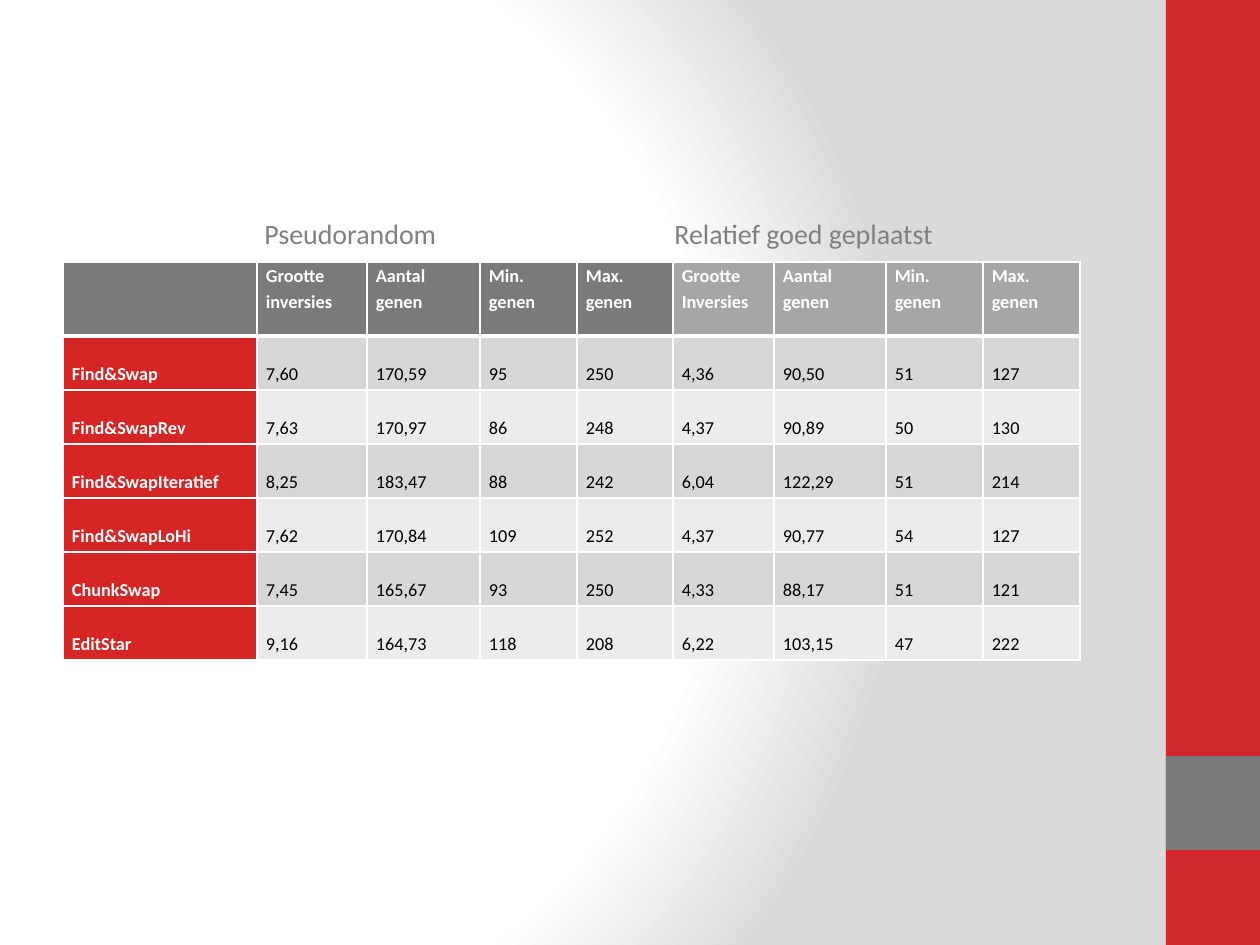
import dataclasses

import pptx
import pptx.dml.color
import pptx.enum.shapes
import pptx.oxml
import pptx.oxml.ns
import pptx.util

EMU_PER_PX = 914400 / 126


def px(length: int) -> pptx.util.Emu:
    return pptx.util.Emu(round(length * EMU_PER_PX))


@dataclasses.dataclass(frozen=True)
class Theme:
    font: str = "Calibri"
    red: str = "D1282E"
    gray: str = "7A7A7A"
    light_gray: str = "A6A6A6"
    label_red: str = "D52525"
    odd_row: str = "D7D7D7"
    even_row: str = "ECECEC"
    backdrop: str = "DADADA"
    white: str = "FFFFFF"
    black: str = "000000"
    caption: str = "808080"
    caption_size: float = 16
    header_size: float = 10.5
    body_size: float = 18


THEME = Theme()


@dataclasses.dataclass(frozen=True)
class Band:
    left: int
    top: int
    width: int
    height: int
    color: str


@dataclasses.dataclass(frozen=True)
class CellStyle:
    fill: str
    color: str
    size: float
    bold: bool
    subscript: bool
    top_line: int = 1
    bottom_line: int = 1


BANDS = [
    Band(1166, 0, 94, 945, THEME.red),
    Band(1166, 756, 94, 94, THEME.gray),
]
COLUMN_WIDTHS = [194, 110, 113, 97, 96, 101, 112, 97, 97]
HEADER_HEIGHT, ROW_HEIGHT = 74, 54
FIRST_PLACED_COLUMN = 5
ROWS = [
    ["", "Grootte\ninversies", "Aantal genen", "Min. genen", "Max. genen",
     "Grootte\nInversies", "Aantal genen", "Min. genen", "Max. genen"],
    ["Find&Swap", "7,60", "170,59", "95", "250", "4,36", "90,50", "51", "127"],
    ["Find&SwapRev", "7,63", "170,97", "86", "248", "4,37", "90,89", "50", "130"],
    ["Find&SwapIteratief", "8,25", "183,47", "88", "242", "6,04", "122,29", "51", "214"],
    ["Find&SwapLoHi", "7,62", "170,84", "109", "252", "4,37", "90,77", "54", "127"],
    ["ChunkSwap", "7,45", "165,67", "93", "250", "4,33", "88,17", "51", "121"],
    ["EditStar", "9,16", "164,73", "118", "208", "6,22", "103,15", "47", "222"],
]


def rgb(color: str) -> pptx.dml.color.RGBColor:
    return pptx.dml.color.RGBColor.from_string(color)


def xml_part(tag: str, attributes: str, content: str = ""):
    namespace = pptx.oxml.ns.nsdecls("a")
    return pptx.oxml.parse_xml(f"<a:{tag} {namespace} {attributes}>{content}</a:{tag}>")


def paint_background(page) -> None:
    page.background.fill.gradient()
    old = page.element.find(".//" + pptx.oxml.ns.qn("a:gradFill"))
    stops = "".join(
        f'<a:gs pos="{position * 1000}"><a:srgbClr val="{color}"/></a:gs>'
        for position, color in [(0, THEME.white), (75, THEME.white), (100, THEME.backdrop)]
    )
    circle = '<a:path path="circle"><a:fillToRect l="20000" t="50000" r="100000" b="50000"/></a:path>'
    gradient = xml_part("gradFill", 'rotWithShape="1"', f"<a:gsLst>{stops}</a:gsLst>{circle}")
    old.getparent().replace(old, gradient)


def draw_band(page, band: Band) -> None:
    shape = page.shapes.add_shape(
        pptx.enum.shapes.MSO_SHAPE.RECTANGLE,
        px(band.left), px(band.top), px(band.width), px(band.height),
    )
    shape.shadow.inherit = False
    shape.fill.solid()
    shape.fill.fore_color.rgb = rgb(band.color)
    shape.line.fill.background()


def format_span(span, size: float, color: str, bold: bool = False) -> None:
    span.font.name = THEME.font
    span.font.size = pptx.util.Pt(size)
    span.font.bold = bold
    span.font.color.rgb = rgb(color)


def cell_style(row: int, column: int) -> CellStyle:
    if row == 0:
        fill = THEME.gray if column < FIRST_PLACED_COLUMN else THEME.light_gray
        return CellStyle(fill, THEME.white, THEME.header_size, True, False, bottom_line=3)
    top_line = 3 if row == 1 else 1
    if column == 0:
        return CellStyle(THEME.label_red, THEME.white, THEME.body_size, True, True, top_line)
    fill = THEME.odd_row if row % 2 else THEME.even_row
    return CellStyle(fill, THEME.black, THEME.body_size, False, True, top_line)


def fill_cell(cell, text: str, style: CellStyle) -> None:
    cell.margin_left = cell.margin_right = px(9)
    cell.margin_top = cell.margin_bottom = 0
    cell.fill.solid()
    cell.fill.fore_color.rgb = rgb(style.fill)
    cell.text_frame.text = text
    for para in cell.text_frame.paragraphs:
        para.line_spacing = 1.15
        for span in para.runs:
            format_span(span, style.size, style.color, style.bold)
            if style.subscript:
                span.font._element.set("baseline", "-25000")

    # Borders come before the fill in the cell properties
    properties = cell._tc.get_or_add_tcPr()
    sides = [("lnL", 1), ("lnR", 1), ("lnT", style.top_line), ("lnB", style.bottom_line)]
    for index, (side, width) in enumerate(sides):
        color = f'<a:solidFill><a:srgbClr val="{THEME.white}"/></a:solidFill>'
        properties.insert(index, xml_part(side, f'w="{pptx.util.Pt(width)}"', color))


def draw_results(page) -> None:
    heights = [HEADER_HEIGHT] + [ROW_HEIGHT] * (len(ROWS) - 1)
    table = page.shapes.add_table(
        len(ROWS), len(COLUMN_WIDTHS), px(63), px(262),
        px(sum(COLUMN_WIDTHS)), px(sum(heights)),
    ).table
    for column, width in zip(table.columns, COLUMN_WIDTHS):
        column.width = px(width)
    for row, height in zip(table.rows, heights):
        row.height = px(height)
    for row, texts in enumerate(ROWS):
        for column, text in enumerate(texts):
            fill_cell(table.cell(row, column), text, cell_style(row, column))


def draw_group_captions(page) -> None:
    box = page.shapes.add_textbox(px(252), px(210), px(701), px(47))
    box.text_frame.word_wrap = True
    para = box.text_frame.paragraphs[0]
    para.text = "Pseudorandom\tRelatief goed geplaatst"
    format_span(para.runs[0], THEME.caption_size, THEME.caption)
    # The tab stop lines the second caption up with its columns
    stop = f'<a:tab pos="{px(410)}" algn="l"/>'
    para._p.get_or_add_pPr().append(xml_part("tabLst", "", stop))


def main() -> None:
    deck = pptx.Presentation()
    deck.slide_width, deck.slide_height = px(1260), px(945)
    page = deck.slides.add_slide(deck.slide_layouts[6])

    # Backdrop and side bands
    paint_background(page)
    for band in BANDS:
        draw_band(page, band)

    # Results table with its captions
    draw_results(page)
    draw_group_captions(page)
    deck.save("out.pptx")


if __name__ == "__main__":
    main()
